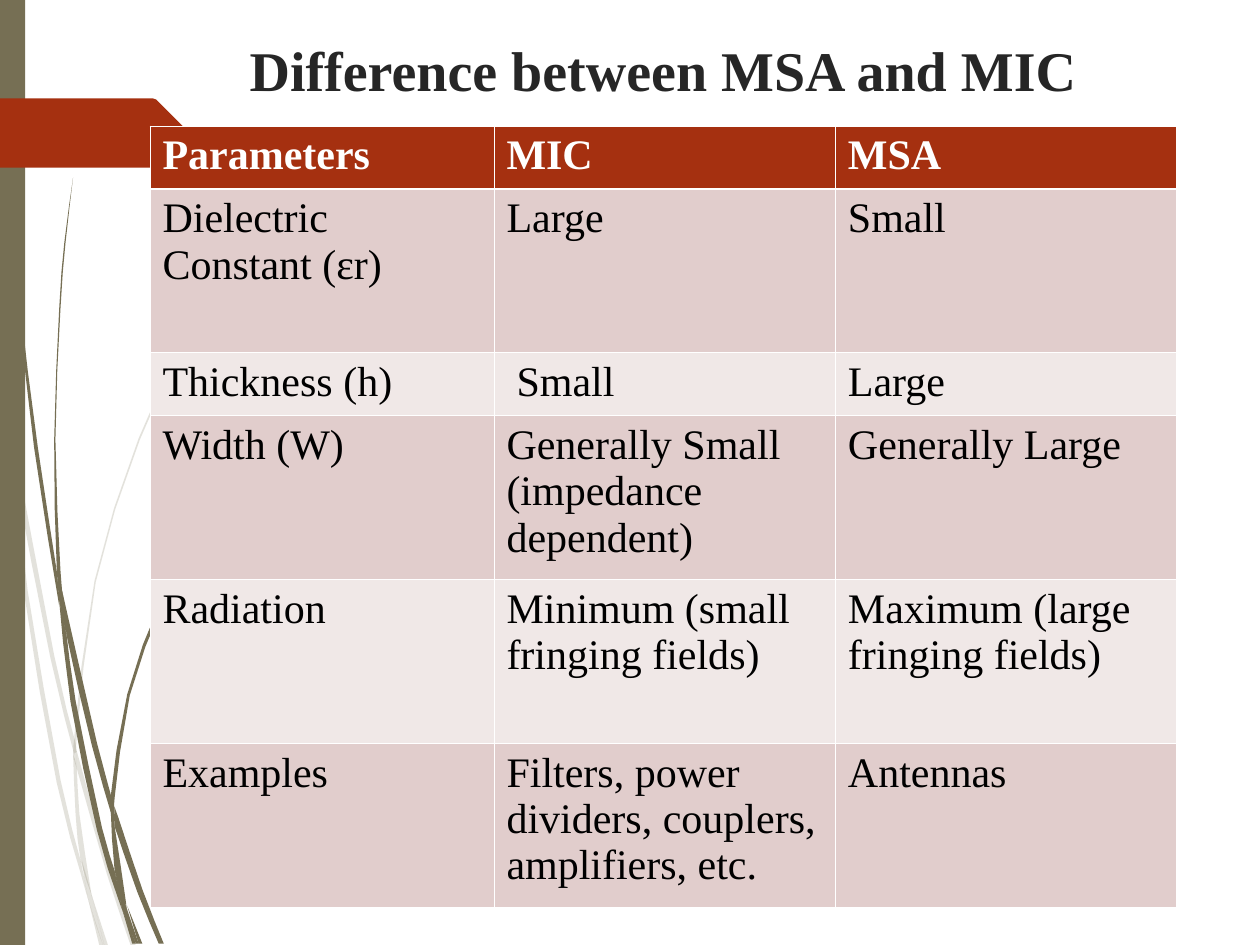
from dataclasses import dataclass

from lxml.etree import SubElement
from pptx import Presentation
from pptx.dml.color import RGBColor
from pptx.enum.shapes import MSO_SHAPE as Shape
from pptx.enum.text import MSO_ANCHOR as Anchor, PP_ALIGN as Align
from pptx.oxml.ns import qn
from pptx.util import Inches, Pt


@dataclass(frozen=True)
class Theme:
    font: str = "Times New Roman"
    title_size: int = 32
    table_size: int = 24
    title: str = "262626"
    body: str = "000000"
    white: str = "FFFFFF"
    olive: str = "766F54"
    accent: str = "A53010"
    bands: tuple = ("E1CDCC", "F0E8E7")
    pale_alpha: int = 20
    thin_line: float = 0.45
    thick_line: float = 1.47


# Each blade of grass is a pair of edges, both running from one tip to the other
PALE_BLADES = [
    ([(0, 2.82), (0.06, 3.22), (0.08, 3.5)], [(0, 2.99), (0.07, 3.44), (0.08, 3.5)]),
    ([(0.1, 3.45), (0.43, 5.2), (0.59, 5.86)],
     [(0.1, 3.45), (0.12, 3.76), (0.4, 5.22), (0.59, 5.99)]),
    ([(0.61, 5.96), (0.64, 6.07), (0.88, 6.92), (1.08, 7.51)],
     [(0.61, 6.1), (0.85, 6.94), (1.04, 7.51)]),
    ([(0.73, 7.11), (0.83, 7.51)], [(0.73, 7.11), (0.86, 7.51)]),
    ([(0.08, 3.5), (0.12, 3.76), (0.22, 4.69), (0.48, 6.19), (0.64, 6.83), (0.7, 7.14)],
     [(0.08, 3.5), (0.19, 4.7), (0.45, 6.21), (0.64, 6.93), (0.7, 7.14)]),
    ([(0.58, 5.99), (0.6, 6.46), (0.64, 6.83), (0.73, 7.11)],
     [(0.58, 5.99), (0.61, 6.1), (0.63, 6.46), (0.72, 7.06), (0.73, 7.11)]),
    ([(2.17, 1.53), (1.86, 1.97), (1.58, 2.44), (1.1, 3.48), (0.75, 4.61),
      (0.59, 5.84), (0.61, 5.96)],
     [(2.17, 1.53), (1.87, 1.98), (1.59, 2.45), (1.11, 3.49), (0.76, 4.62),
      (0.61, 5.84), (0.61, 5.96)]),
    ([(0.7, 7.14), (0.79, 7.51)], [(0.7, 7.14), (0.82, 7.51)]),
    ([(0.59, 5.86), (0.58, 5.99), (0.61, 6.1)], [(0.59, 5.86), (0.61, 5.96), (0.61, 6.1)]),
    ([(0.65, 6.83), (0.7, 7.14), (0.82, 7.51)],
     [(0.65, 6.83), (0.73, 7.11), (0.83, 7.51)]),
]
DARK_BLADES = [
    ([(0.02, 0), (0.05, 1.1), (0.14, 2.33), (0.27, 3.55), (0.47, 4.81)],
     [(0.03, 0), (0.06, 1.09), (0.15, 2.32), (0.3, 3.55), (0.45, 4.53), (0.47, 4.81)]),
    ([(0.5, 4.72), (0.53, 5.05), (0.73, 5.92), (0.88, 6.45)],
     [(0.5, 4.72), (0.77, 5.9), (0.88, 6.31), (0.88, 6.45)]),
    ([(0.91, 6.41), (0.94, 6.49), (1.13, 7.06), (1.3, 7.49)],
     [(0.91, 6.56), (1.09, 7.08), (1.26, 7.49)]),
    ([(0.47, 4.77), (0.56, 5.57), (0.77, 6.59), (0.92, 7.08), (0.97, 7.22)],
     [(0.47, 4.77), (0.53, 5.05), (0.6, 5.56), (0.81, 6.57), (0.91, 6.91), (0.97, 7.22)]),
    ([(0.58, 1.41), (0.51, 1.93), (0.47, 2.45), (0.43, 3.49), (0.45, 4.49), (0.5, 4.72)],
     [(0.58, 1.41), (0.52, 1.93), (0.48, 2.45), (0.44, 3.49), (0.48, 4.53), (0.5, 4.72)]),
    ([(1.01, 7.19), (1.1, 7.49)], [(1.01, 7.19), (1.13, 7.49)]),
    ([(0.45, 4.49), (0.47, 4.77), (0.53, 5.05)], [(0.45, 4.49), (0.5, 4.72), (0.53, 5.05)]),
    ([(2.16, 3.44), (1.91, 3.73), (1.68, 4.05), (1.29, 4.74), (1.01, 5.51),
      (0.88, 6.31), (0.91, 6.41)],
     [(2.16, 3.44), (1.91, 3.74), (1.69, 4.06), (1.31, 4.76), (1.03, 5.52),
      (0.91, 6.33), (0.91, 6.41)]),
    ([(0.97, 7.22), (1.05, 7.49)], [(0.97, 7.22), (1.08, 7.49)]),
    ([(0.88, 6.45), (0.91, 6.91), (1, 7.19)],
     [(0.88, 6.45), (0.91, 6.56), (1, 7.16), (1, 7.19)]),
    ([(0.88, 6.31), (0.88, 6.45), (0.91, 6.56)], [(0.88, 6.31), (0.91, 6.41), (0.91, 6.56)]),
    ([(0.91, 6.91), (0.97, 7.22), (1.08, 7.49)], [(0.91, 6.91), (1, 7.19), (1.1, 7.49)]),
]
ARROW = [(0, 0.78), (1.21, 0.78), (1.24, 0.79), (1.49, 1.04), (1.49, 1.07),
         (1.24, 1.32), (1.21, 1.33), (0, 1.33)]

ROWS = [
    ("Parameters", "MIC", "MSA"),
    ("Dielectric Constant (εr)", "Large", "Small"),
    ("Thickness (h)", "Small", "Large"),
    ("Width (W)", "Generally Small (impedance dependent)", "Generally Large"),
    ("Radiation", "Minimum (small fringing fields)", "Maximum (large fringing fields)"),
    ("Examples", "Filters, power dividers, couplers, amplifiers, etc.", "Antennas"),
]
COLUMN_WIDTHS = (2.73, 2.71, 2.71)
ROW_HEIGHTS = (0.5, 1.3, 0.5, 1.3, 1.3, 1.3)
INDENTED_CELL = (2, 1)


def smooth(points):
    """Add the Catmull-Rom midpoint between each two neighbouring points."""
    if len(points) == 2:
        return points
    padded = [points[0], *points, points[-1]]
    curve = [points[0]]
    for a, b, c, d in zip(padded, padded[1:], padded[2:], padded[3:]):
        middle = tuple((9 * (q + r) - p - s) / 16 for p, q, r, s in zip(a, b, c, d))
        curve += [middle, c]
    return curve


class SlideBuilder:
    def __init__(self, slide, theme):
        self.slide = slide
        self.theme = theme

    def paint(self, shape, color, alpha=None):
        shape.shadow.inherit = False
        shape.fill.solid()
        shape.fill.fore_color.rgb = RGBColor.from_string(color)
        shape.line.fill.background()
        if alpha is not None:
            color_element = shape.fill._xPr.find(qn("a:solidFill"))[0]
            SubElement(color_element, qn("a:alpha"), val=str(alpha * 1000))

    def outline(self, points, color, alpha=None, shapes=None):
        start, *others = [(Inches(x), Inches(y)) for x, y in points]
        builder = (shapes or self.slide.shapes).build_freeform(*start, scale=1.0)
        builder.add_line_segments(others, close=True)
        self.paint(builder.convert_to_shape(), color, alpha)

    def grass(self, blades, alpha=None):
        group = self.slide.shapes.add_group_shape()
        for first_edge, second_edge in blades:
            # Tips shared by both edges are kept once
            points = dict.fromkeys(smooth(first_edge) + smooth(second_edge)[::-1])
            self.outline(points, self.theme.olive, alpha, group.shapes)

    def bar(self, left, top, width, height):
        shape = self.slide.shapes.add_shape(
            Shape.RECTANGLE, Inches(left), Inches(top), Inches(width), Inches(height))
        self.paint(shape, self.theme.olive)

    def style(self, paragraph, size, color, bold):
        font = paragraph.font
        font.name, font.size, font.bold = self.theme.font, Pt(size), bold
        font.color.rgb = RGBColor.from_string(color)

    def title(self, text, left, top, width, height):
        shape = self.slide.shapes.title
        shape.left, shape.top = Inches(left), Inches(top)
        shape.width, shape.height = Inches(width), Inches(height)
        frame = shape.text_frame
        frame.text = text
        frame.word_wrap = True
        frame.vertical_anchor = Anchor.MIDDLE
        frame.margin_bottom = Inches(0.11)
        paragraph = frame.paragraphs[0]
        paragraph.alignment = Align.CENTER
        paragraph.line_spacing = 0.9
        self.style(paragraph, self.theme.title_size, self.theme.title, True)

    def border(self, cell, side, width):
        line = SubElement(cell._tc.get_or_add_tcPr(), qn(f"a:ln{side}"), w=str(Pt(width)))
        fill = SubElement(line, qn("a:solidFill"))
        SubElement(fill, qn("a:srgbClr"), val=self.theme.white)

    def cell(self, cell, text, row):
        theme = self.theme
        header = row == 0
        thick_side = {0: "B", 1: "T"}.get(row)
        for side in "LRTB":
            self.border(cell, side, theme.thick_line if side == thick_side else theme.thin_line)
        cell.fill.solid()
        color = theme.accent if header else theme.bands[(row - 1) % 2]
        cell.fill.fore_color.rgb = RGBColor.from_string(color)
        cell.text = text
        paragraph = cell.text_frame.paragraphs[0]
        self.style(paragraph, theme.table_size, theme.white if header else theme.body, header)

    def table(self, left, top):
        table = self.slide.shapes.add_table(
            len(ROWS), len(COLUMN_WIDTHS), Inches(left), Inches(top),
            Inches(sum(COLUMN_WIDTHS)), Inches(sum(ROW_HEIGHTS))).table
        for column, width in zip(table.columns, COLUMN_WIDTHS):
            column.width = Inches(width)
        for row, height in zip(table.rows, ROW_HEIGHTS):
            row.height = Inches(height)
        for row, texts in enumerate(ROWS):
            for column, text in enumerate(texts):
                self.cell(table.cell(row, column), text, row)
        table.cell(*INDENTED_CELL).margin_left = Inches(0.18)


def main():
    presentation = Presentation()
    presentation.slide_width, presentation.slide_height = Inches(10), Inches(7.5)
    slide = presentation.slides.add_slide(presentation.slide_layouts[5])
    theme = Theme()
    builder = SlideBuilder(slide, theme)

    # Decoration on the left
    builder.grass(PALE_BLADES, theme.pale_alpha)
    builder.grass(DARK_BLADES)
    builder.bar(0, 0, 0.2, 7.5)
    builder.outline(ARROW, theme.accent)

    # Title and comparison table
    builder.title("Difference between MSA and MIC", 1.66, 0.22, 7.21, 0.78)
    builder.table(1.19, 1)
    presentation.save("out.pptx")


if __name__ == "__main__":
    main()
